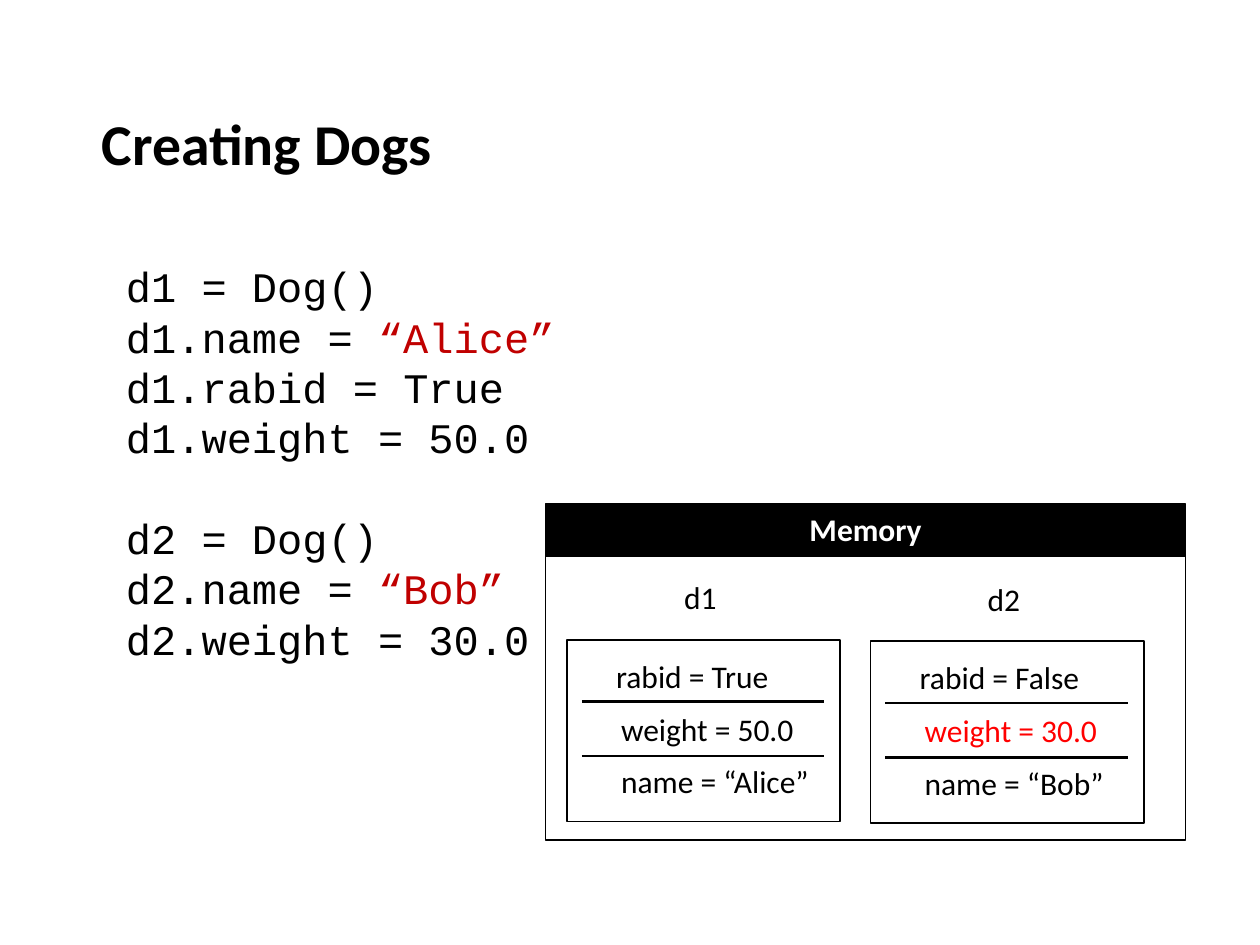
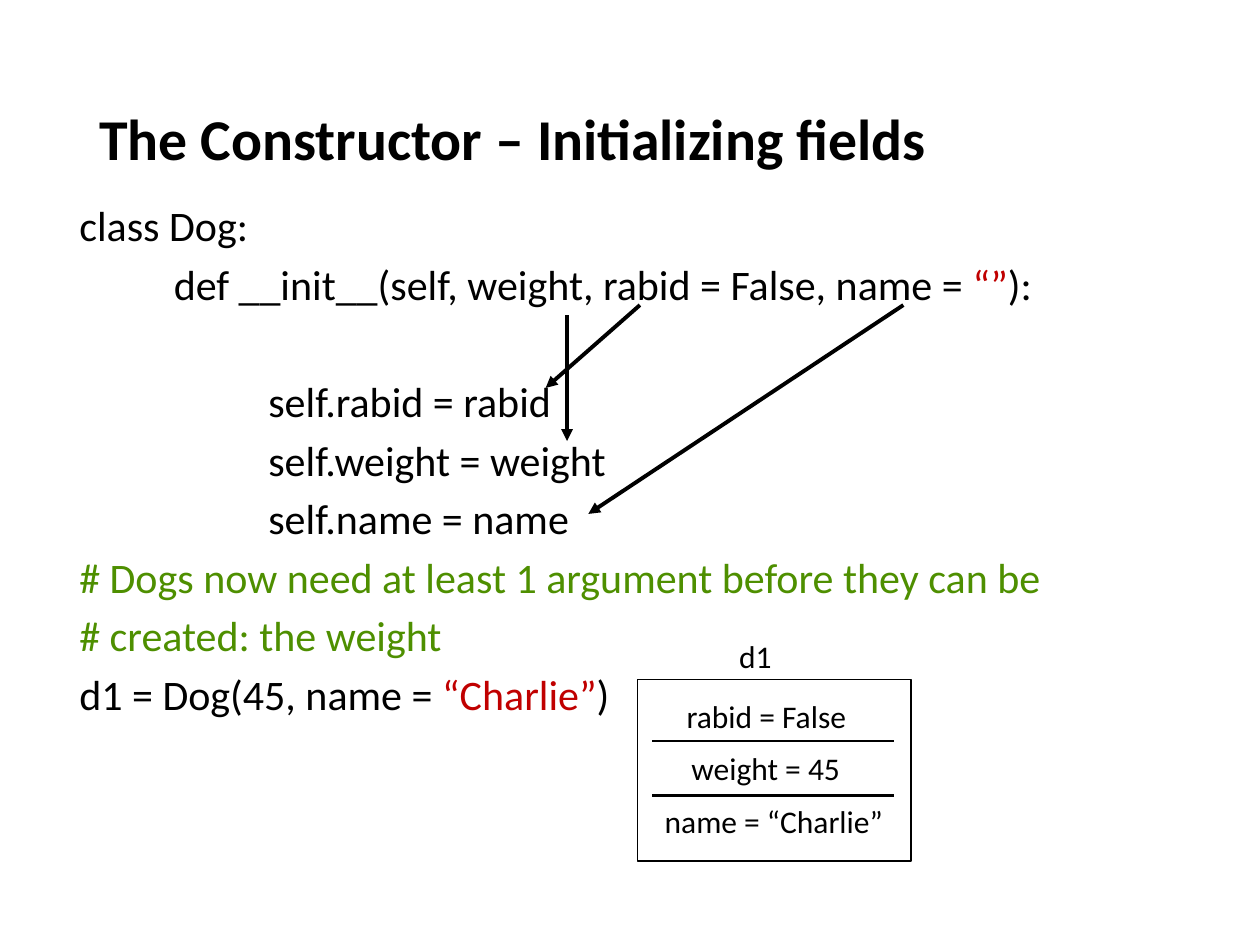
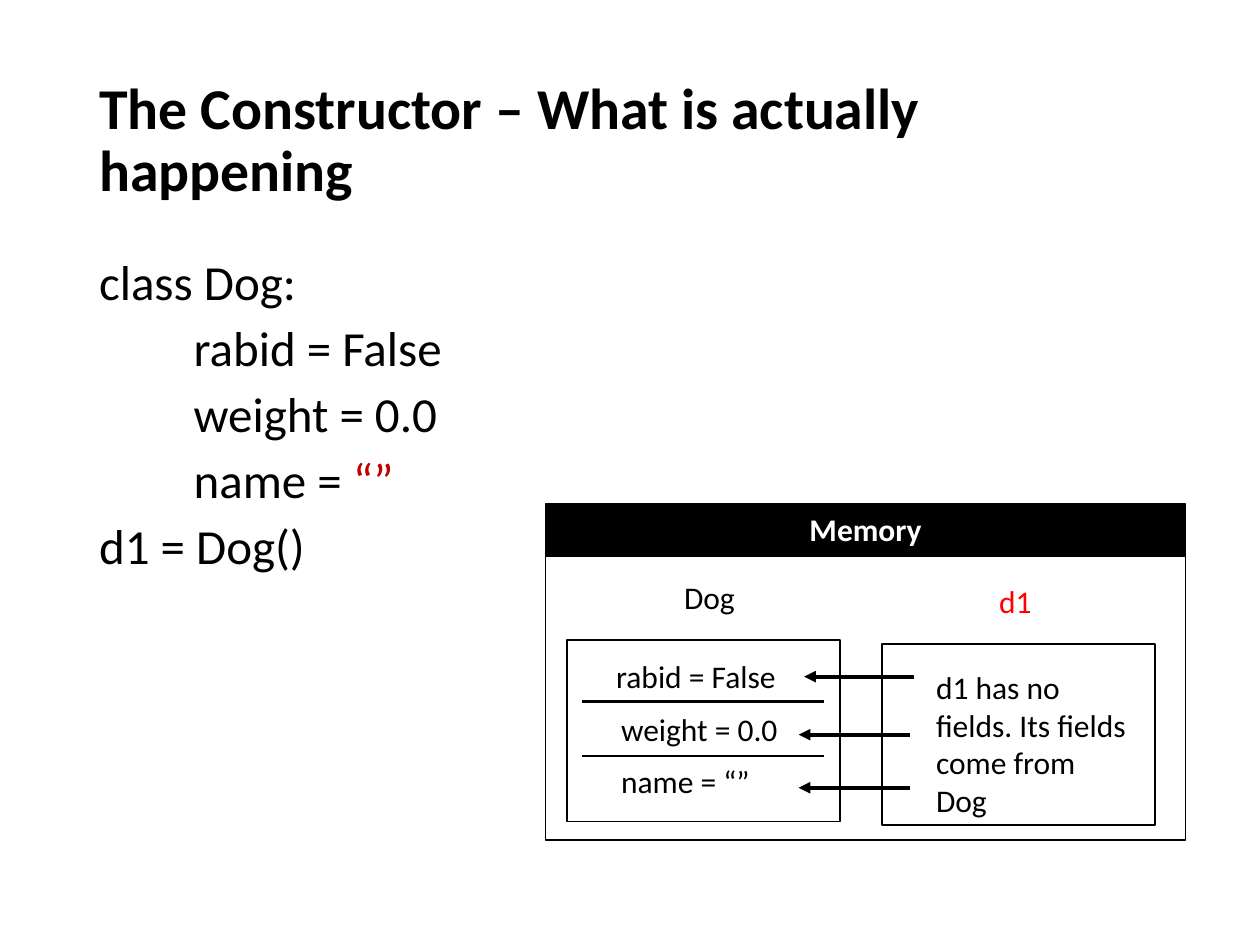
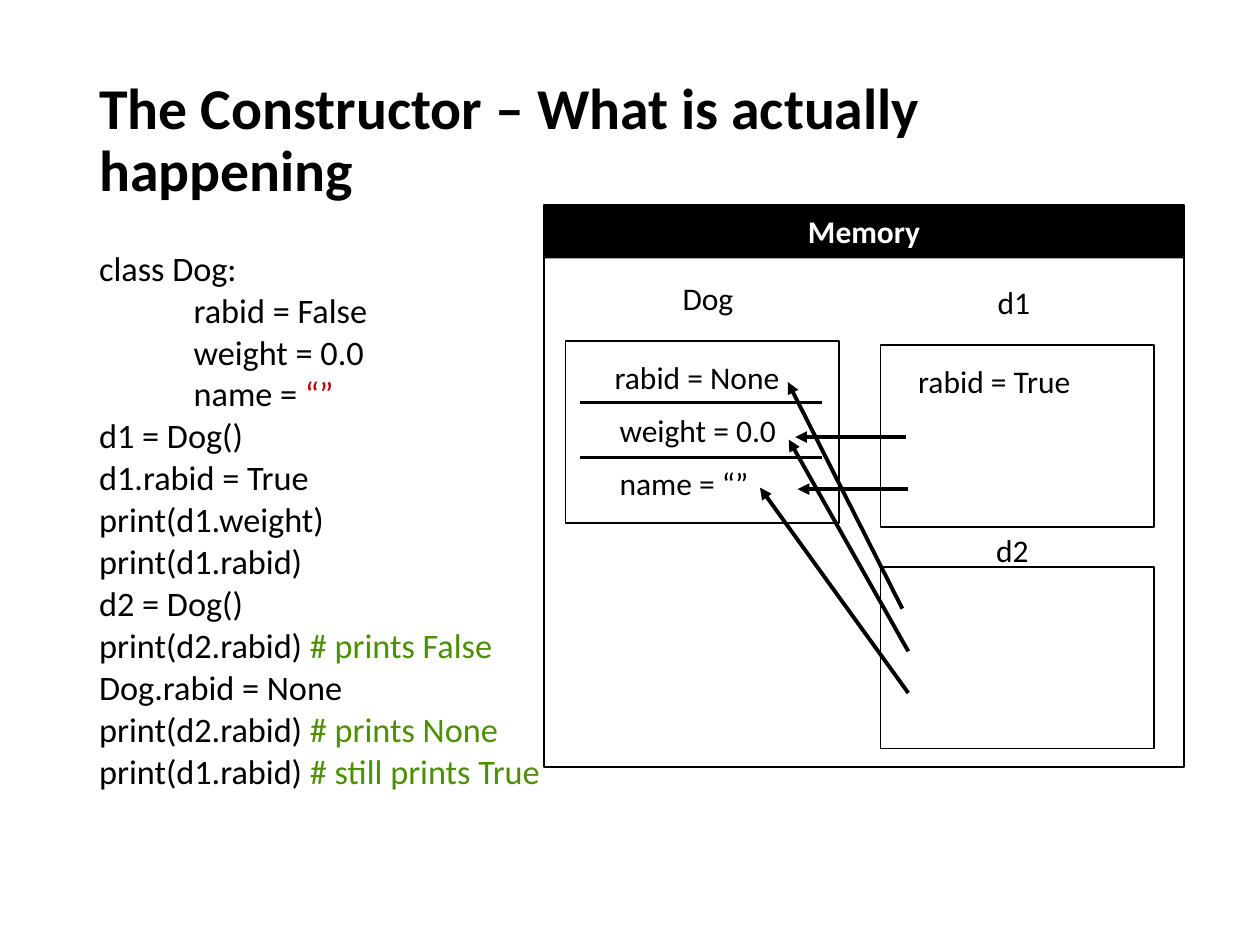
from dataclasses import dataclass

from lxml.etree import SubElement
from pptx import Presentation
from pptx.dml.color import RGBColor
from pptx.enum.shapes import MSO_CONNECTOR, MSO_SHAPE
from pptx.enum.text import MSO_ANCHOR, MSO_AUTO_SIZE, PP_ALIGN
from pptx.oxml.ns import qn
from pptx.shapes.autoshape import Shape
from pptx.shapes.connector import Connector
from pptx.slide import Slide
from pptx.text.text import TextFrame
from pptx.util import Cm, Pt

BLACK = RGBColor(0x00, 0x00, 0x00)
WHITE = RGBColor(0xFF, 0xFF, 0xFF)
CHANGED_RED = RGBColor(0xFF, 0x00, 0x00)
STRING_RED = RGBColor(0xC0, 0x00, 0x00)
COMMENT_GREEN = RGBColor(0x4E, 0x8F, 0x00)

BODY_FONT = "Calibri"
CODE_FONT = "Courier New"

# Lengths are in centimetres.
TAB_WIDTH = 1.905
TEXT_HEIGHT = 1.02
RECORD_WIDTH, RECORD_HEIGHT = 5.51, 3.66
MEMORY_WIDTH, BAND_HEIGHT = 12.9, 1.07
ROW_STEP = 1.06
FIRST_RULE, RULE_STEP = 1.24, 1.1
RULE_START, RULE_END = 0.3, 5.18


@dataclass(frozen=True)
class Memory:
    left: float
    top: float
    height: float


@dataclass(frozen=True)
class Record:
    """A box of fields with its name above; the changed text is red."""
    left: float
    top: float
    name: str
    rows: tuple[str, ...] = ()
    changed: str = ""
    name_offset: tuple[float, float] = (2.11, -1.37)
    row_indents: tuple[float, ...] = (0.74, 0.84, 0.84)
    first_row: float = 0.22
    row_width: float = 4.5
    row_height: float = TEXT_HEIGHT


@dataclass(frozen=True)
class Arrow:
    start: tuple[float, float]
    end: tuple[float, float]


@dataclass(frozen=True)
class Code:
    text: str
    left: float = 1.75
    top: float = 5.08
    width: float = 21.9
    height: float = 12.09
    size: float = 28
    font: str = BODY_FONT
    line_spacing: float = 0.9
    space_before: float = 7.5
    blank_gap: float = 0


@dataclass(frozen=True)
class Page:
    title: str
    code: Code
    records: tuple[Record, ...]
    memory: Memory | None = None
    arrows: tuple[Arrow, ...] = ()
    title_left: float = 1.75
    title_top: float = 1.02


LOWER_MEMORY = Memory(11, 10.16, 6.78)
HAPPENING_TITLE = "The Constructor – What is actually happening"

PAGES = (
    Page(
        "Creating Dogs",
        Code(
            "d1 = Dog()\n"
            "d1.name = “Alice”\n"
            "d1.rabid = True\n"
            "d1.weight = 50.0\n"
            "\n"
            "d2 = Dog()\n"
            "d2.name = “Bob”\n"
            "d2.weight = 30.0",
            left=2.29, top=5.13, width=20.96, height=12.22, size=24,
            font=CODE_FONT, line_spacing=1, space_before=0, blank_gap=28.7,
        ),
        (
            Record(11.43, 12.9, "d1",
                   ("rabid = True", "weight = 50.0", "name = “Alice”")),
            Record(17.55, 12.93, "d2",
                   ("rabid = False", "weight = 30.0", "name = “Bob”"),
                   changed="weight = 30.0"),
        ),
        LOWER_MEMORY,
        title_left=1.8, title_top=1.12,
    ),
    Page(
        "The Constructor – Initializing fields",
        Code(
            "class Dog:\n"
            "\tdef __init__(self, weight, rabid = False, name = “”):\n"
            "\n"
            "\t\tself.rabid = rabid\n"
            "\t\tself.weight = weight\n"
            "\t\tself.name = name\n"
            "# Dogs now need at least 1 argument before they can be\n"
            "# created: the weight\n"
            "d1 = Dog(45, name = “Charlie”)",
            left=1.35, top=4.02, width=22.3, height=12.06, size=24,
            blank_gap=33.8,
        ),
        (
            Record(12.85, 13.7, "d1",
                   ("rabid = False", "weight = 45", "name = “Charlie”"),
                   name_offset=(1.8, -0.99), row_indents=(0.74, 0.84, 0.3),
                   row_width=5.18),
        ),
        arrows=(
            Arrow((11.43, 6.35), (11.43, 8.89)),
            Arrow((18.21, 6.15), (11.86, 10.36)),
            Arrow((12.9, 6.15), (11, 7.82)),
        ),
    ),
    Page(
        HAPPENING_TITLE,
        Code(
            "class Dog:\n"
            "\trabid = False\n"
            "\tweight = 0.0\n"
            "\tname = “”\n"
            "d1 = Dog()",
        ),
        (
            Record(11.43, 12.9, "Dog",
                   ("rabid = False", "weight = 0.0", "name = “”")),
            Record(17.78, 12.98, "d1",
                   ("d1 has no fields. Its fields come from Dog",),
                   changed="d1", row_indents=(0.84,), first_row=0.36,
                   row_width=4.34, row_height=3.33),
        ),
        LOWER_MEMORY,
        (
            Arrow((18.42, 13.64), (16.21, 13.64)),
            Arrow((18.34, 14.81), (16.1, 14.81)),
            Arrow((18.34, 15.88), (16.1, 15.88)),
        ),
    ),
    Page(
        HAPPENING_TITLE,
        Code(
            "class Dog:\n"
            "\trabid = False\n"
            "\tweight = 0.0\n"
            "\tname = “”\n"
            "d1 = Dog()\n"
            "d1.rabid = True\n"
            "print(d1.weight)\n"
            "print(d1.rabid)\n"
            "d2 = Dog()\n"
            "print(d2.rabid) # prints False\n"
            "Dog.rabid = None\n"
            "print(d2.rabid) # prints None\n"
            "print(d1.rabid) # still prints True",
            size=19.6, line_spacing=0.7,
        ),
        (
            Record(11.4, 6.88, "Dog",
                   ("rabid = None", "weight = 0.0", "name = “”")),
            Record(17.75, 6.96, "d1", ("rabid = True",), row_indents=(0.51,)),
            Record(17.75, 11.43, "d2", name_offset=(2.08, -0.84)),
        ),
        Memory(10.97, 4.14, 11.33),
        (
            Arrow((18.26, 8.81), (16.03, 8.81)),
            Arrow((18.31, 9.86), (16.08, 9.86)),
            Arrow((18.19, 12.27), (15.88, 7.7)),
            Arrow((18.31, 13.13), (15.9, 8.86)),
            Arrow((18.31, 13.97), (15.32, 9.83)),
        ),
    ),
)


def color_code(line: str) -> list[tuple[str, RGBColor]]:
    """Split a code line into plain, string and comment parts."""
    code, hash_sign, comment = line.partition("#")
    before, opening, rest = code.partition("“")
    literal, closing, after = rest.partition("”")
    parts = [
        (before, BLACK),
        (opening + literal + closing, STRING_RED),
        (after, BLACK),
        (hash_sign + comment, COMMENT_GREEN),
    ]
    return [part for part in parts if part[0]]


def write_text(frame: TextFrame, text: str, *, size: float = 18,
               font: str = BODY_FONT, color: RGBColor = BLACK,
               bold: bool = False, align: PP_ALIGN = PP_ALIGN.LEFT,
               anchor: MSO_ANCHOR = MSO_ANCHOR.TOP, grow: bool = False,
               line_spacing: float = 1, space_before: float = 0,
               blank_gap: float = 0, is_code: bool = False) -> None:
    """Write one paragraph a line; a blank line becomes space before the next."""
    frame.word_wrap = True
    frame.vertical_anchor = anchor
    frame.auto_size = (MSO_AUTO_SIZE.SHAPE_TO_FIT_TEXT if grow
                       else MSO_AUTO_SIZE.NONE)
    paragraph = frame.paragraphs[0]
    gap = 0
    for line in text.split("\n"):
        if not line:
            gap = blank_gap
            continue
        if paragraph.runs:
            paragraph = frame.add_paragraph()
        paragraph.alignment = align
        paragraph.line_spacing = line_spacing
        paragraph.space_before = Pt(space_before + gap)
        gap = 0
        if line.startswith("\t"):
            add_tab_stops(paragraph)
        for part, part_color in color_code(line) if is_code else [(line, color)]:
            run = paragraph.add_run()
            run.text = part
            run.font.name = font
            run.font.size = Pt(size)
            run.font.bold = bold
            run.font.color.rgb = part_color


def add_tab_stops(paragraph) -> None:
    properties = paragraph._p.get_or_add_pPr()
    tab_list = SubElement(properties, qn("a:tabLst"))
    for level in (1, 2):
        SubElement(tab_list, qn("a:tab"), pos=str(Cm(TAB_WIDTH * level)), algn="l")


def add_text_box(slide: Slide, text: str, left: float, top: float, width: float,
                 height: float = TEXT_HEIGHT, **text_format) -> None:
    box = slide.shapes.add_textbox(Cm(left), Cm(top), Cm(width), Cm(height))
    write_text(box.text_frame, text, **text_format)


def add_rectangle(slide: Slide, left: float, top: float, width: float,
                  height: float, fill: RGBColor | None = None) -> Shape:
    """Draw a filled rectangle, or an outlined one when there is no fill."""
    shape = slide.shapes.add_shape(MSO_SHAPE.RECTANGLE, Cm(left), Cm(top),
                                   Cm(width), Cm(height))
    shape.shadow.inherit = False
    if fill is None:
        shape.fill.background()
        shape.line.color.rgb = BLACK
        shape.line.width = Pt(1)
    else:
        shape.fill.solid()
        shape.fill.fore_color.rgb = fill
        shape.line.fill.background()
    return shape


def add_line(slide: Slide, start: tuple[float, float], end: tuple[float, float],
             width: float = 1.5) -> Connector:
    line = slide.shapes.add_connector(MSO_CONNECTOR.STRAIGHT, Cm(start[0]),
                                      Cm(start[1]), Cm(end[0]), Cm(end[1]))
    line.line.color.rgb = BLACK
    line.line.width = Pt(width)
    SubElement(line._element.spPr, qn("a:effectLst"))
    return line


def add_arrow(slide: Slide, arrow: Arrow) -> None:
    connector = add_line(slide, arrow.start, arrow.end, 2.25)
    SubElement(connector.line._get_or_add_ln(), qn("a:tailEnd"), type="triangle")


def add_memory(slide: Slide, memory: Memory) -> None:
    add_rectangle(slide, memory.left, memory.top, MEMORY_WIDTH, memory.height)
    band = add_rectangle(slide, memory.left, memory.top, MEMORY_WIDTH,
                         BAND_HEIGHT, BLACK)
    write_text(band.text_frame, "Memory", color=WHITE, bold=True,
               align=PP_ALIGN.CENTER, grow=True)


def add_record(slide: Slide, record: Record) -> None:
    def text_color(text: str) -> RGBColor:
        return CHANGED_RED if text == record.changed else BLACK

    left, top = record.left, record.top
    name_x, name_y = record.name_offset
    add_rectangle(slide, left, top, RECORD_WIDTH, RECORD_HEIGHT)
    add_text_box(slide, record.name, left + name_x, top + name_y, 1.7,
                 color=text_color(record.name), grow=True)
    for index, (row, indent) in enumerate(zip(record.rows, record.row_indents)):
        add_text_box(slide, row, left + indent,
                     top + record.first_row + index * ROW_STEP,
                     record.row_width, record.row_height,
                     color=text_color(row), grow=True)
    for index in range(len(record.rows) - 1):
        rule_y = top + FIRST_RULE + index * RULE_STEP
        add_line(slide, (left + RULE_START, rule_y), (left + RULE_END, rule_y))


def add_code(slide: Slide, code: Code) -> None:
    add_text_box(slide, code.text, code.left, code.top, code.width, code.height,
                 size=code.size, font=code.font, line_spacing=code.line_spacing,
                 space_before=code.space_before, blank_gap=code.blank_gap,
                 is_code=True)


def add_page(presentation, page: Page) -> None:
    slide = presentation.slides.add_slide(presentation.slide_layouts[6])
    add_text_box(slide, page.title, page.title_left, page.title_top, 21.9, 3.68,
                 size=33, bold=True, anchor=MSO_ANCHOR.MIDDLE, line_spacing=0.9)
    add_code(slide, page.code)
    if page.memory:
        add_memory(slide, page.memory)
    for record in page.records:
        add_record(slide, record)
    for arrow in page.arrows:
        add_arrow(slide, arrow)


def main() -> None:
    presentation = Presentation()
    presentation.slide_width = Cm(25.4)
    presentation.slide_height = Cm(19.05)
    for page in PAGES:
        add_page(presentation, page)
    presentation.save("out.pptx")


if __name__ == "__main__":
    main()
